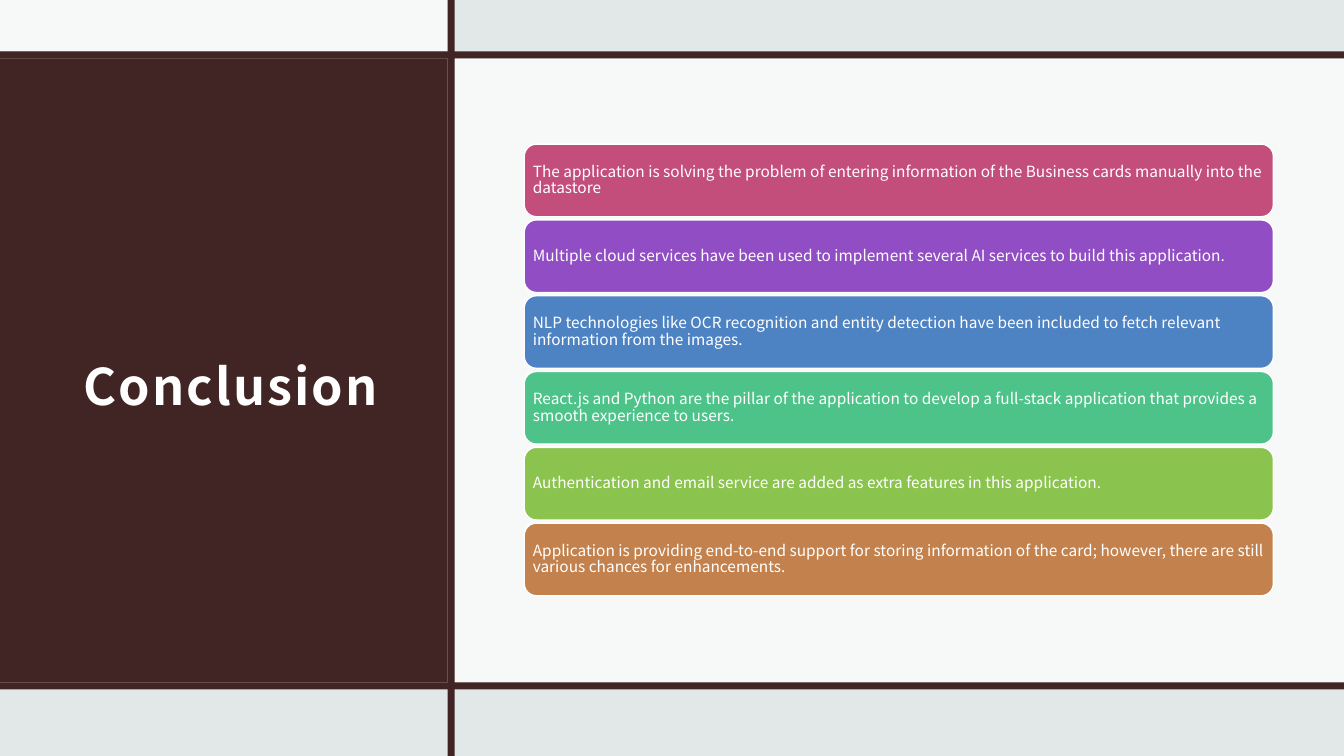
import pptx
import pptx.dml.color
import pptx.enum.shapes
import pptx.enum.text
import pptx.oxml
import pptx.oxml.ns
import pptx.util

# Content
TITLE = "Conclusion"
CARDS = [
    ("C34D7B", "The application is solving the problem of entering information of the Business cards manually into the datastore"),
    ("914DC3", "Multiple cloud services have been used to implement several AI services to build this application."),
    ("4D83C3", "NLP technologies like OCR recognition and entity detection have been included to fetch relevant information from the images."),
    ("4DC38A", "React.js and Python are the pillar of the application to develop a full-stack application that provides a smooth experience to users."),
    ("8AC34D", "Authentication and email service are added as extra features in this application."),
    ("C3824D", "Application is providing end-to-end support for storing information of the card; however, there are still various chances for enhancements."),
]
FONT = "Noto Sans CJK JP"
WHITE, DARK, PALE = "FFFFFF", "412524", "E2E8E8"

# Grid in inches: bars cross at one column and two rows
WIDTH, HEIGHT = 13.33, 7.5
BAR = 0.07
COLUMN, TOP_ROW, BOTTOM_ROW = 4.44, 0.51, 6.77
PANEL_LEFT, PANEL_TOP = COLUMN + BAR, TOP_ROW + BAR
CARD_LEFT, CARD_TOP, CARD_WIDTH, CARD_HEIGHT = 5.2, 1.43, 7.43, 0.72
CARD_PITCH = 0.752

SHAPES = pptx.enum.shapes.MSO_SHAPE


def rgb(color):
    return pptx.dml.color.RGBColor.from_string(color)


def add_block(slide, kind, box, color, opacity=100):
    shape = slide.shapes.add_shape(kind, *map(pptx.util.Inches, box))
    shape.shadow.inherit = False
    shape.line.fill.background()
    shape.fill.solid()
    shape.fill.fore_color.rgb = rgb(color)
    if opacity < 100:
        color_element = shape.fill._xPr.find(".//" + pptx.oxml.ns.qn("a:srgbClr"))
        alpha = pptx.oxml.parse_xml(f'<a:alpha {pptx.oxml.ns.nsdecls("a")} val="{opacity * 1000}"/>')
        color_element.append(alpha)
    return shape


def write(shape, text, size, margins, line_spacing, space_after):
    frame = shape.text_frame
    frame.word_wrap = True
    frame.vertical_anchor = pptx.enum.text.MSO_ANCHOR.MIDDLE
    frame.margin_left, frame.margin_top, frame.margin_right, frame.margin_bottom = map(pptx.util.Inches, margins)
    paragraph = frame.paragraphs[0]
    paragraph.text = text
    paragraph.alignment = pptx.enum.text.PP_ALIGN.LEFT
    paragraph.line_spacing = line_spacing
    paragraph.space_after = pptx.util.Pt(space_after)
    paragraph.font.name = FONT
    paragraph.font.size = pptx.util.Pt(size)
    paragraph.font.color.rgb = rgb(WHITE)
    return paragraph


def main():
    presentation = pptx.Presentation()
    presentation.slide_width = pptx.util.Inches(WIDTH)
    presentation.slide_height = pptx.util.Inches(HEIGHT)
    slide = presentation.slides.add_slide(presentation.slide_layouts[6])
    slide.background.fill.solid()
    slide.background.fill.fore_color.rgb = rgb(PALE)

    # Title panel
    add_block(slide, SHAPES.RECTANGLE, (0, TOP_ROW, COLUMN, BOTTOM_ROW - TOP_ROW), DARK)
    title = slide.shapes.add_textbox(*map(pptx.util.Inches, (0.71, 1.31, 3.41, 4.71)))
    paragraph = write(title, TITLE, 36, (0.12, 0.12, 0.12, 0.1), 1.5, 6)
    paragraph.font.bold = True
    paragraph.runs[0].font._element.set("spc", "150")

    # Light panels
    for box in [(0, 0, COLUMN, PANEL_TOP),
                (PANEL_LEFT, PANEL_TOP, WIDTH - PANEL_LEFT, BOTTOM_ROW - PANEL_TOP)]:
        add_block(slide, SHAPES.RECTANGLE, box, WHITE, 75)

    # Crossing bars
    for box in [(0, BOTTOM_ROW, WIDTH, BAR), (COLUMN, 0, BAR, HEIGHT), (0, TOP_ROW, WIDTH, BAR)]:
        add_block(slide, SHAPES.RECTANGLE, box, DARK)

    # Conclusion cards
    for row, (color, text) in enumerate(CARDS):
        box = (CARD_LEFT, CARD_TOP + row * CARD_PITCH, CARD_WIDTH, CARD_HEIGHT)
        card = add_block(slide, SHAPES.ROUNDED_RECTANGLE, box, color)
        card.line.color.rgb = rgb(WHITE)
        card.line.width = pptx.util.Pt(1)
        write(card, text, 11, (0.05,) * 4, 0.9, 3.85)

    presentation.save("out.pptx")


if __name__ == "__main__":
    main()
